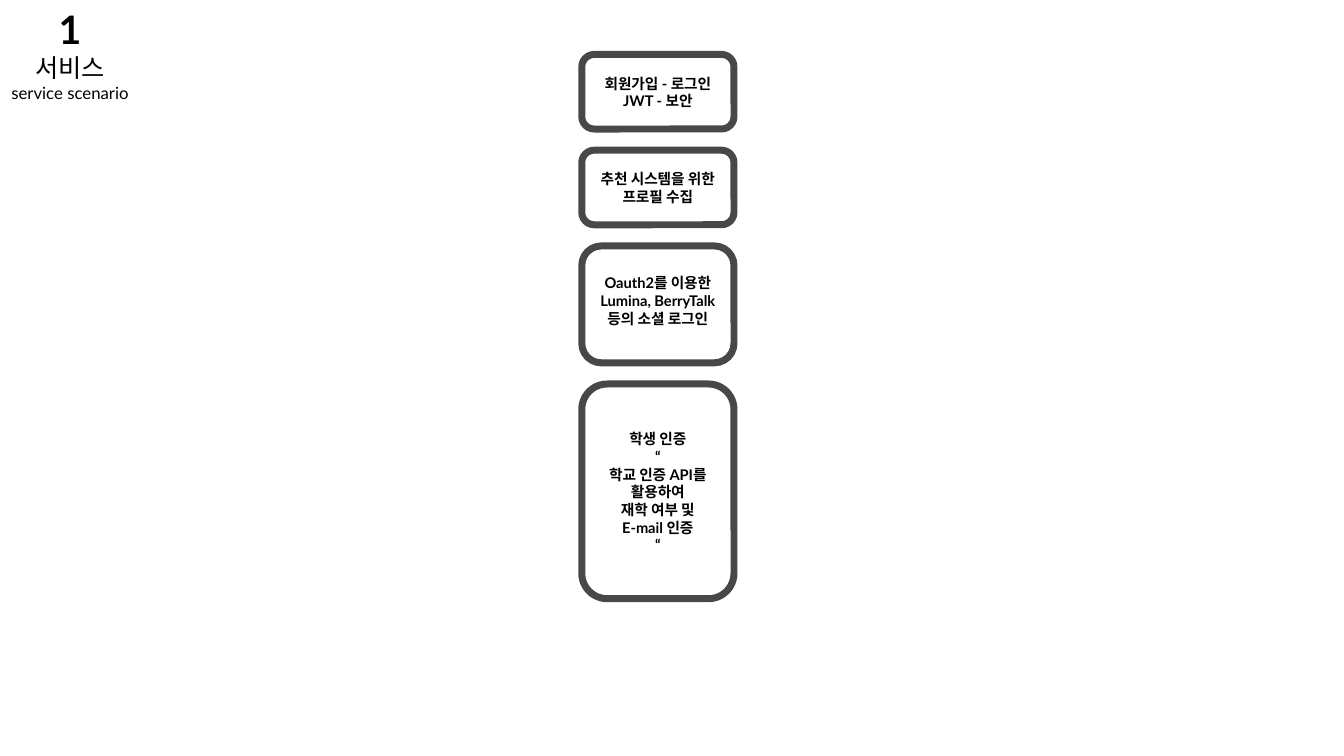
from dataclasses import dataclass

from pptx import Presentation
from pptx.dml.color import RGBColor
from pptx.enum.shapes import MSO_SHAPE
from pptx.enum.text import MSO_AUTO_SIZE, PP_ALIGN
from pptx.util import Inches, Pt


@dataclass(frozen=True)
class Theme:
    font: str = "Lato"
    ink: RGBColor = RGBColor(0x00, 0x00, 0x00)
    border: RGBColor = RGBColor(0x48, 0x48, 0x48)
    border_width: float = 5
    number_size: float = 28
    title_size: float = 18
    subtitle_size: float = 12
    step_size: float = 10.5


THEME = Theme()
STEP_LEFT, STEP_WIDTH = 5.77, 1.51
FIRST_TOP, STEP_GAP = 0.54, 0.21

STEPS = [
    (0.74, 0.15, 1.34, 0.45, False, ["회원가입 - 로그인", "JWT - 보안"]),
    (0.74, 0.15, 1.44, 0.45, False, ["추천 시스템을 위한", "프로필 수집"]),
    (1.16, 0.23, 1.44, 0.99, False,
     ["Oauth2를 이용한", "Lumina, BerryTalk", "등의 소셜 로그인"]),
    (2.13, 0.41, 1.23, 1.34, True,
     ["학생 인증", "“", "학교 인증 API를", "활용하여", "재학 여부 및", "E-mail 인증", "“"]),
]


def add_text(shapes, left, top, width, height, lines, wrap=False):
    box = shapes.add_textbox(Inches(left), Inches(top), Inches(width), Inches(height))
    frame = box.text_frame
    frame.word_wrap = wrap
    frame.auto_size = MSO_AUTO_SIZE.SHAPE_TO_FIT_TEXT
    for index, (text, size, bold) in enumerate(lines):
        para = frame.add_paragraph() if index else frame.paragraphs[0]
        para.text = text
        para.alignment = PP_ALIGN.CENTER
        para.font.name = THEME.font
        para.font.size = Pt(size)
        para.font.bold = bold
        para.font.color.rgb = THEME.ink


def add_frame(shapes, top, height):
    frame = shapes.add_shape(MSO_SHAPE.ROUNDED_RECTANGLE, Inches(STEP_LEFT), Inches(top),
                             Inches(STEP_WIDTH), Inches(height))
    frame.shadow.inherit = False
    frame.fill.background()
    frame.line.color.rgb = THEME.border
    frame.line.width = Pt(THEME.border_width)


def add_step(page, top, height, text_offset, text_width, text_height, wrap, lines):
    shapes = page.shapes.add_group_shape().shapes
    add_frame(shapes, top, height)
    text_left = STEP_LEFT + (STEP_WIDTH - text_width) / 2
    add_text(shapes, text_left, top + text_offset, text_width, text_height,
             [(line, THEME.step_size, True) for line in lines], wrap)


def main():
    deck = Presentation()
    deck.slide_width, deck.slide_height = Inches(13.33), Inches(7.5)
    page = deck.slides.add_slide(deck.slide_layouts[6])
    add_text(page.shapes, 0, 0, 1.39, 1.08, [
        ("1", THEME.number_size, True),
        ("서비스", THEME.title_size, False),
        ("service scenario", THEME.subtitle_size, False),
    ])
    top = FIRST_TOP
    for height, *details in STEPS:
        add_step(page, top, height, *details)
        top += height + STEP_GAP
    deck.save("out.pptx")


if __name__ == "__main__":
    main()
